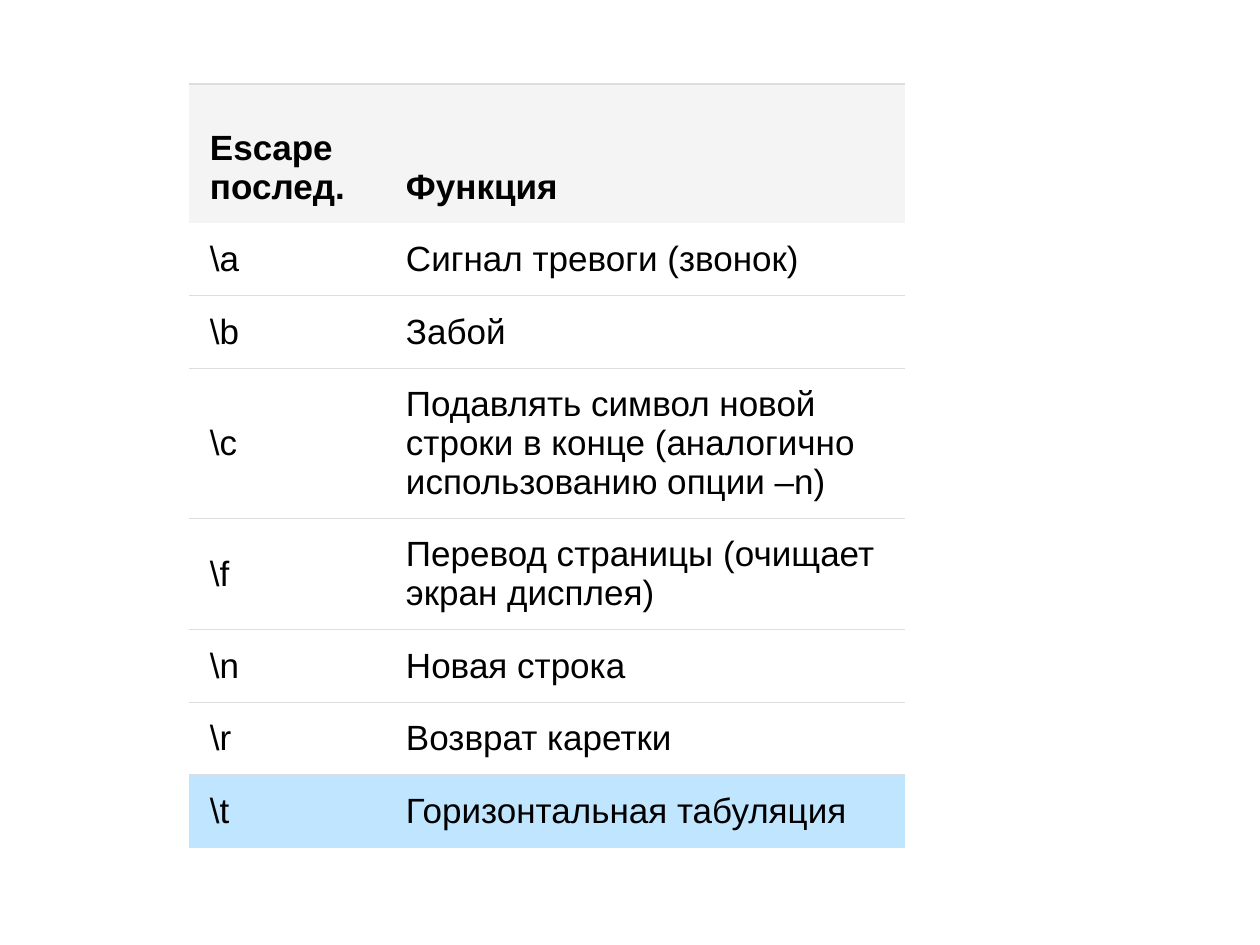
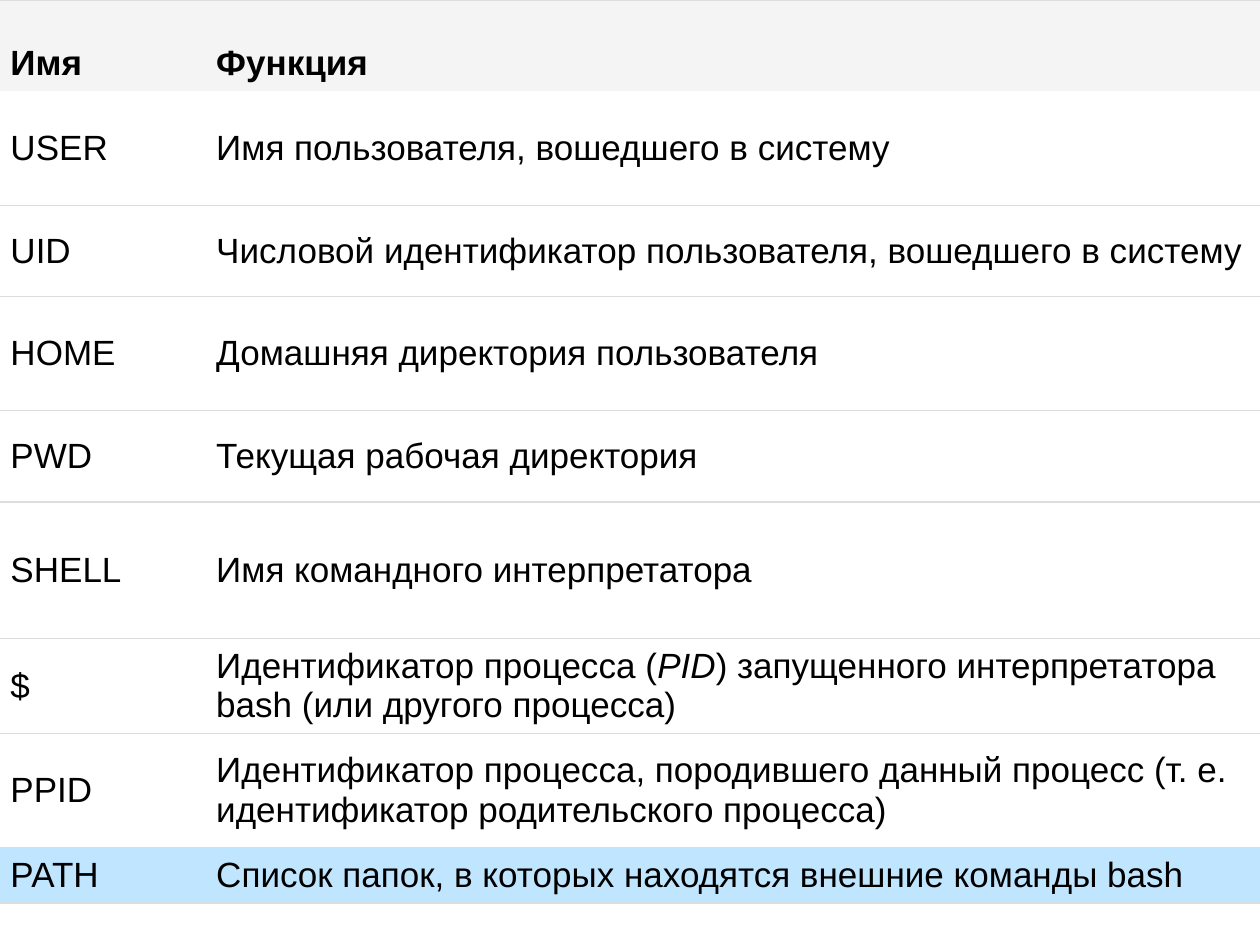
from lxml import etree
from pptx import Presentation
from pptx.dml.color import RGBColor
from pptx.enum.text import MSO_ANCHOR
from pptx.oxml.ns import qn
from pptx.util import Pt

BOTTOM, MIDDLE = MSO_ANCHOR.BOTTOM, MSO_ANCHOR.MIDDLE
BLANK_LAYOUT = 6
FONT, FONT_SIZE = "Arial", 20
BORDER_WIDTH = 0.75
COLORS = {
    "text": "000000",
    "header": "F4F4F4",
    "body": "FFFFFF",
    "highlight": "C0E6FF",
    "rule": "DDDDDD",
    "header_rule": "FFFFFF",
}

ESCAPES = [
    ("Escape послед.", "Функция"),
    (r"\a", "Сигнал тревоги (звонок)"),
    (r"\b", "Забой"),
    (r"\c", "Подавлять символ новой строки в конце (аналогично использованию опции –n)"),
    (r"\f", "Перевод страницы (очищает экран дисплея)"),
    (r"\n", "Новая строка"),
    (r"\r", "Возврат каретки"),
    (r"\t", "Горизонтальная табуляция"),
]
VARIABLES = [
    ("Имя", "Функция"),
    ("USER", "Имя пользователя, вошедшего в систему"),
    ("UID", "Числовой идентификатор пользователя, вошедшего в систему"),
    ("HOME", "Домашняя директория пользователя"),
    ("PWD", "Текущая рабочая директория"),
    ("SHELL", "Имя командного интерпретатора"),
    ("$", "Идентификатор процесса (*PID*) запущенного интерпретатора "
          "bash (или другого процесса)"),
    ("PPID", "Идентификатор процесса, породившего данный процесс "
             "(т. е. идентификатор родительского процесса)"),
    ("PATH", "Список папок, в которых находятся внешние команды bash"),
]


def set_border(cell, side, color=None):
    """Draw one cell edge, or clear it when no color is given."""
    line = etree.SubElement(cell._tc.get_or_add_tcPr(), qn(f"a:ln{side}"))
    if color is None:
        etree.SubElement(line, qn("a:noFill"))
        return
    line.set("w", str(Pt(BORDER_WIDTH)))
    fill = etree.SubElement(line, qn("a:solidFill"))
    etree.SubElement(fill, qn("a:srgbClr")).set("val", color)


def write_text(cell, text, bold):
    """Write the cell text; parts between asterisks become italic."""
    para = cell.text_frame.paragraphs[0]
    for number, part in enumerate(text.split("*")):
        span = para.add_run()
        span.text = part
        span.font.name = FONT
        span.font.size = Pt(FONT_SIZE)
        span.font.bold = bold
        span.font.italic = number % 2 == 1
        span.font.color.rgb = RGBColor.from_string(COLORS["text"])


def format_cell(cell, row, last_row, margins):
    horizontal, vertical = margins
    cell.margin_left = cell.margin_right = Pt(horizontal)
    cell.margin_top = cell.margin_bottom = Pt(vertical)
    cell.vertical_anchor = BOTTOM if row == 0 else MIDDLE
    set_border(cell, "L")
    set_border(cell, "R")
    set_border(cell, "T", COLORS["header_rule" if row == 1 else "rule"])
    set_border(cell, "B", COLORS["header_rule" if row == 0 else "rule"])
    fill_name = {0: "header", last_row: "highlight"}.get(row, "body")
    cell.fill.solid()
    cell.fill.fore_color.rgb = RGBColor.from_string(COLORS[fill_name])


def add_reference_slide(deck, entries, origin, widths, heights, margins):
    """Add a slide with a two-column table; its last row is highlighted."""
    page = deck.slides.add_slide(deck.slide_layouts[BLANK_LAYOUT])
    left, top = origin
    table = page.shapes.add_table(
        len(entries), len(widths), Pt(left), Pt(top),
        Pt(sum(widths)), Pt(sum(heights))).table
    table.first_row = table.horz_banding = False
    for column, width in zip(table.columns, widths):
        column.width = Pt(width)
    for row, (entry, height) in enumerate(zip(entries, heights)):
        table.rows[row].height = Pt(height)
        for column, text in enumerate(entry):
            cell = table.cell(row, column)
            format_cell(cell, row, len(entries) - 1, margins)
            write_text(cell, text, bold=row == 0)


def main():
    deck = Presentation()
    deck.slide_width, deck.slide_height = Pt(720), Pt(540)
    add_reference_slide(
        deck, ESCAPES, origin=(108, 48), widths=(112, 297),
        heights=(79.6, 41.4, 41.4, 60.5, 41.4, 41.4, 41.4, 41.4),
        margins=(12, 9.5))
    add_reference_slide(
        deck, VARIABLES, origin=(0, 0), widths=(117.6, 602.4),
        heights=(52.3, 65, 52.3, 65, 52.3, 78, 39.5, 65, 26.5),
        margins=(6, 4.8))
    deck.save("out.pptx")


if __name__ == "__main__":
    main()
